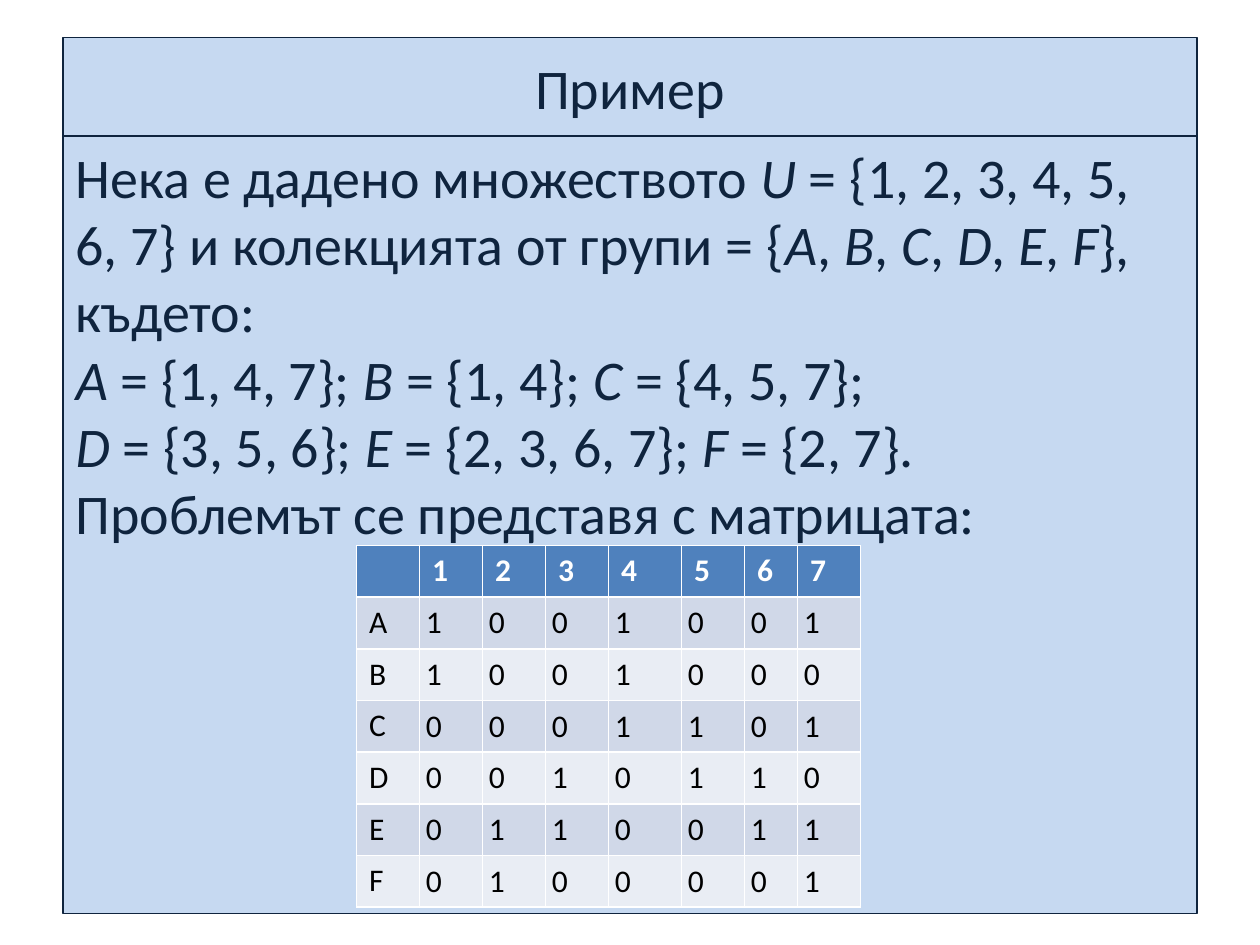
"""Build the set-cover example slide with its incidence matrix."""
from itertools import groupby

from pptx import Presentation
from pptx.dml.color import RGBColor
from pptx.enum.text import MSO_ANCHOR, MSO_AUTO_SIZE, PP_ALIGN
from pptx.util import Inches, Pt

CENTER, LEFT = PP_ALIGN.CENTER, PP_ALIGN.LEFT
TOP, MIDDLE = MSO_ANCHOR.TOP, MSO_ANCHOR.MIDDLE
NO_AUTOFIT = MSO_AUTO_SIZE.NONE

FONT = "Calibri"
COLORS = {
    "panel": "C6D9F1",
    "ink": "0F243E",
    "header": "4F81BD",
    "odd_row": "D0D8E8",
    "even_row": "E9EDF4",
    "header_text": "FFFFFF",
    "cell_text": "000000",
}

BODY_LINES = [
    "Нека е дадено множеството U = {1, 2, 3, 4, 5, 6, 7} "
    "и колекцията от групи = {A, B, C, D, E, F}, където:",
    "A = {1, 4, 7}; B = {1, 4}; C = {4, 5, 7};",
    "D = {3, 5, 6}; E = {2, 3, 6, 7}; F = {2, 7}.",
    "Проблемът се представя с матрицата:",
]
UNIVERSE = range(1, 8)
GROUPS = {
    "A": {1, 4, 7},
    "B": {1, 4},
    "C": {4, 5, 7},
    "D": {3, 5, 6},
    "E": {2, 3, 6, 7},
    "F": {2, 7},
}
COLUMN_WIDTHS = [0.5, 0.5, 0.5, 0.5, 0.58, 0.5, 0.42, 0.5]
ROW_HEIGHT = 0.41


def color(name):
    return RGBColor.from_string(COLORS[name])


def style_font(font, size, color_name):
    font.name = FONT
    font.size = Pt(size)
    font.color.rgb = color(color_name)


def place_panel(shape, top, height, anchor):
    shape.left, shape.top = Inches(0.5), Inches(top)
    shape.width, shape.height = Inches(9), Inches(height)
    shape.fill.solid()
    shape.fill.fore_color.rgb = color("panel")
    shape.line.color.rgb = color("ink")
    shape.line.width = Pt(0.75)
    shape.text_frame.auto_size = NO_AUTOFIT
    shape.text_frame.word_wrap = True
    shape.text_frame.vertical_anchor = anchor


def is_set_name(character):
    return character.isascii() and character.isalpha()


def fill_paragraph(paragraph, text, alignment):
    paragraph.alignment = alignment
    paragraph.space_before = Pt(0)
    style_font(paragraph.font, 32, "ink")
    for italic, characters in groupby(text, is_set_name):
        run = paragraph.add_run()
        run.text = "".join(characters)
        if italic:
            run.font.italic = True


def remove_bullet(paragraph):
    properties = paragraph._p.get_or_add_pPr()
    properties.set("marL", "0")
    properties.set("indent", "0")
    bullet = properties.makeelement(
        "{http://schemas.openxmlformats.org/drawingml/2006/main}buNone", {})
    properties.find("{*}defRPr").addprevious(bullet)


def fill_cell(cell, text, fill_name, is_header):
    cell.fill.solid()
    cell.fill.fore_color.rgb = color(fill_name)
    cell.text = text
    paragraph = cell.text_frame.paragraphs[0]
    style_font(paragraph.font, 18, "header_text" if is_header else "cell_text")
    paragraph.font.bold = is_header


def add_matrix(slide):
    rows = [["", *map(str, UNIVERSE)]]
    for name, members in GROUPS.items():
        rows.append([name, *(str(int(number in members)) for number in UNIVERSE)])
    table = slide.shapes.add_table(
        len(rows), len(COLUMN_WIDTHS), Inches(2.83), Inches(4.33),
        Inches(sum(COLUMN_WIDTHS)), Inches(ROW_HEIGHT * len(rows))).table
    for column, width in zip(table.columns, COLUMN_WIDTHS):
        column.width = Inches(width)
    for row_index, values in enumerate(rows):
        table.rows[row_index].height = Inches(ROW_HEIGHT)
        is_header = row_index == 0
        stripe = "odd_row" if row_index % 2 else "even_row"
        for column_index, value in enumerate(values):
            cell = table.cell(row_index, column_index)
            fill_cell(cell, value, "header" if is_header else stripe, is_header)
            if row_index and column_index:
                cell.vertical_anchor = MIDDLE
                cell.margin_left = cell.margin_right = Inches(0.05)


def main():
    presentation = Presentation()
    presentation.slide_width, presentation.slide_height = Inches(10), Inches(7.5)
    slide = presentation.slides.add_slide(presentation.slide_layouts[1])

    title = slide.shapes.title
    place_panel(title, 0.3, 0.78, MIDDLE)
    fill_paragraph(title.text_frame.paragraphs[0], "Пример", CENTER)

    body = slide.placeholders[1]
    place_panel(body, 1.08, 6.17, TOP)
    for index, line in enumerate(BODY_LINES):
        frame = body.text_frame
        paragraph = frame.add_paragraph() if index else frame.paragraphs[0]
        fill_paragraph(paragraph, line, LEFT)
        remove_bullet(paragraph)

    add_matrix(slide)
    presentation.save("out.pptx")


if __name__ == "__main__":
    main()
